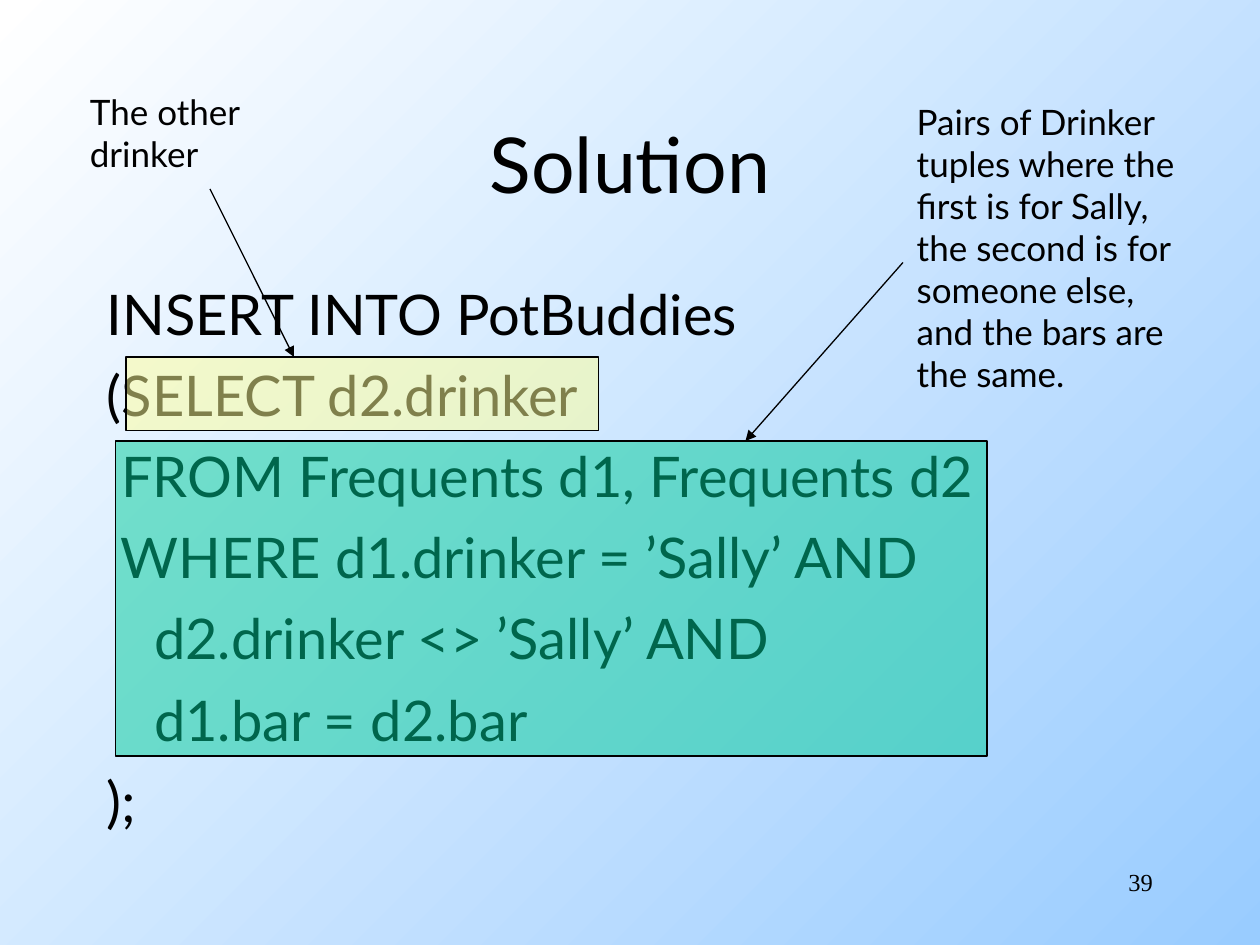
from lxml.etree import SubElement
from pptx import Presentation
from pptx.dml.color import RGBColor
from pptx.enum.shapes import MSO_CONNECTOR, MSO_SHAPE
from pptx.enum.text import MSO_ANCHOR, MSO_AUTO_SIZE, PP_ALIGN
from pptx.oxml.ns import qn
from pptx.util import Emu, Pt

BLACK = RGBColor(0x00, 0x00, 0x00)
WHITE = RGBColor(0xFF, 0xFF, 0xFF)
SKY = RGBColor(0x99, 0xCC, 0xFF)
GREEN = RGBColor(0x00, 0xCC, 0x99)
YELLOW = RGBColor(0xFF, 0xFF, 0x99)

EMU_PER_PX = 9525
HANGING = 36

QUERY = [
    "INSERT INTO PotBuddies",
    "(SELECT d2.drinker",
    " FROM Frequents d1, Frequents d2",
    " WHERE d1.drinker = ’Sally’ AND",
    "\td2.drinker <> ’Sally’ AND",
    "\td1.bar = d2.bar",
    ");",
]
PAIRS_NOTE = [
    "Pairs of Drinker",
    "tuples where the",
    "first is for Sally,",
    "the second is for",
    "someone else,",
    "and the bars are",
    "the same.",
]


def px(*lengths):
    """Turn pixel lengths into EMU."""
    return [Emu(length * EMU_PER_PX) for length in lengths]


def write(shape, lines, size, font="Lato", align=PP_ALIGN.LEFT,
          anchor=MSO_ANCHOR.TOP, wrap=True, before=0, hanging=0):
    """Fill a shape with one paragraph per line of text."""
    frame = shape.text_frame
    frame.word_wrap = wrap
    frame.auto_size = MSO_AUTO_SIZE.NONE if wrap else MSO_AUTO_SIZE.SHAPE_TO_FIT_TEXT
    frame.vertical_anchor = anchor
    for index, line in enumerate(lines):
        paragraph = frame.add_paragraph() if index else frame.paragraphs[0]
        paragraph.alignment = align
        paragraph.space_before = Pt(before)
        if hanging:
            indent, = px(hanging)
            properties = paragraph._p.get_or_add_pPr()
            properties.set("marL", str(indent))
            properties.set("indent", str(-indent))
        run = paragraph.add_run()
        run.text = line
        run.font.size = Pt(size)
        run.font.name = font
        run.font.color.rgb = BLACK


def add_text(slide, box, lines, size, **text_format):
    """Add a text box."""
    write(slide.shapes.add_textbox(*px(*box)), lines, size, **text_format)


def add_highlight(slide, box, color):
    """Add a half-transparent outlined rectangle."""
    highlight = slide.shapes.add_shape(MSO_SHAPE.RECTANGLE, *px(*box))
    highlight.shadow.inherit = False
    highlight.fill.solid()
    highlight.fill.fore_color.rgb = color
    color_node = highlight._element.spPr.find(qn("a:solidFill"))[0]
    SubElement(color_node, qn("a:alpha"), val="50000")
    highlight.line.color.rgb = BLACK
    highlight.line.width = Pt(0.75)


def add_arrow(slide, start, end):
    """Add a straight arrow from start to end."""
    arrow = slide.shapes.add_connector(MSO_CONNECTOR.STRAIGHT, *px(*start, *end))
    arrow.line.color.rgb = BLACK
    arrow.line.width = Pt(0.75)
    SubElement(arrow.line._get_or_add_ln(), qn("a:tailEnd"), type="triangle")
    SubElement(arrow._element.spPr, qn("a:effectLst"))


def paint_background(slide):
    """Run a diagonal gradient from top left to bottom right."""
    fill = slide.background.fill
    fill.gradient()
    fill.gradient_angle = 315
    for stop, color in zip(fill.gradient_stops, (WHITE, SKY)):
        stop.color.rgb = color


def place_title(slide, box, text):
    """Move and format the title placeholder."""
    title = slide.shapes.title
    title.left, title.top, title.width, title.height = px(*box)
    write(title, [text], 44, align=PP_ALIGN.CENTER, anchor=MSO_ANCHOR.MIDDLE)


def main():
    """Build the slide and save it."""
    deck = Presentation()
    deck.slide_width, deck.slide_height = px(960, 720)
    slide = deck.slides.add_slide(deck.slide_layouts[5])
    paint_background(slide)

    add_text(slide, (688, 656, 200, 48), ["39"], 14,
             font="Times New Roman", align=PP_ALIGN.RIGHT)
    place_title(slide, (72, 64, 816, 120), "Solution")
    add_text(slide, (72, 208, 816, 432), QUERY, 32, before=8, hanging=HANGING)

    add_highlight(slide, (88, 336, 664, 240), GREEN)
    add_text(slide, (689, 72, 230, 234), PAIRS_NOTE, 20, wrap=False)
    add_arrow(slide, (688, 200), (568, 336))

    add_highlight(slide, (96, 272, 360, 56), YELLOW)
    add_text(slide, (59, 64, 141, 74), ["The other", "drinker"], 20, wrap=False)
    add_arrow(slide, (160, 144), (224, 272))

    deck.save("out.pptx")


if __name__ == "__main__":
    main()
